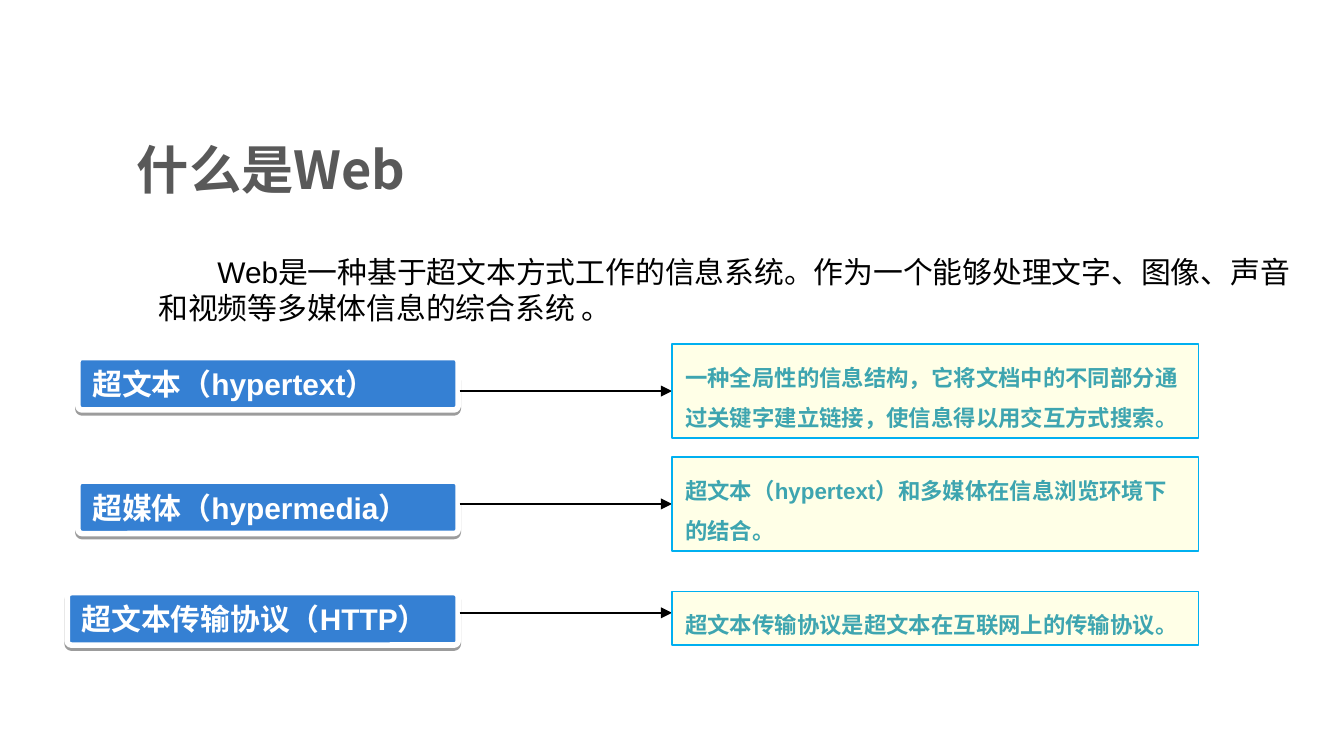
from math import isclose

from lxml.etree import SubElement
from pptx import Presentation
from pptx.dml.color import RGBColor
from pptx.enum.shapes import MSO_CONNECTOR as Connector, MSO_SHAPE as Shape
from pptx.enum.text import MSO_ANCHOR as Anchor, MSO_AUTO_SIZE as AutoSize, PP_ALIGN as Align
from pptx.oxml.ns import qn
from pptx.util import Inches, Pt

LATIN, CJK = "Arial", "Noto Sans CJK SC"
TERM_RIGHT, ARROW_START = 3.41, 3.42
NOTE_LEFT, NOTE_WIDTH = 5, 3.92

# term, its left and top, arrow height, explanation, its top and height
ROWS = [
    ("超文本（hypertext）", 0.58, 2.66, 2.91,
     "一种全局性的信息结构，它将文档中的不同部分通过关键字建立链接，使信息得以用交互方式搜索。",
     2.56, 0.7),
    ("超媒体（hypermedia）", 0.58, 3.58, 3.75,
     "超文本（hypertext）和多媒体在信息浏览环境下的结合。", 3.4, 0.7),
    ("超文本传输协议（HTTP）", 0.5, 4.41, 4.56,
     "超文本传输协议是超文本在互联网上的传输协议。", 4.4, 0.4),
]


def color(hex_code):
    return RGBColor.from_string(hex_code)


def write(shape, text, size, hex_code, font=LATIN, bold=False, anchor=Anchor.TOP,
          autosize=AutoSize.SHAPE_TO_FIT_TEXT, spacing=None):
    frame = shape.text_frame
    frame_format = {"word_wrap": True, "auto_size": autosize, "vertical_anchor": anchor}
    for name, value in frame_format.items():
        setattr(frame, name, value)
    paragraph = frame.paragraphs[0]
    paragraph.alignment = Align.LEFT
    paragraph.line_spacing = spacing
    run = paragraph.add_run()
    run.text = text
    for name, value in {"size": Pt(size), "bold": bold, "name": font}.items():
        setattr(run.font, name, value)
    run.font.color.rgb = color(hex_code)
    SubElement(run.font._element, qn("a:ea"), typeface=CJK)
    return paragraph


def add_text(slide, left, top, width, height, text, size, hex_code, **text_format):
    box = slide.shapes.add_textbox(*map(Inches, (left, top, width, height)))
    return write(box, text, size, hex_code, **text_format)


def add_panel(slide, kind, left, top, width, height, fill, line, line_width):
    panel = slide.shapes.add_shape(kind, *map(Inches, (left, top, width, height)))
    panel.shadow.inherit = False
    panel.fill.solid()
    panel.fill.fore_color.rgb = color(fill)
    panel.line.color.rgb = color(line)
    panel.line.width = Pt(line_width)
    return panel


def add_term(slide, text, left, top):
    term = add_panel(slide, Shape.ROUNDED_RECTANGLE, left, top, TERM_RIGHT - left, 0.39,
                     "3580D3", "FFFFFF", 3)
    term.adjustments[0] = 0.08
    effects = term._element.spPr.find(qn("a:effectLst"))
    shadow = SubElement(effects, qn("a:outerShdw"), blurRad="0", dist=str(Pt(1.6)),
                        dir="5400000", rotWithShape="0")
    shade = SubElement(shadow, qn("a:srgbClr"), val="000000")
    SubElement(shade, qn("a:alpha"), val="38000")
    write(term, text, 16, "FFFFFF", bold=True, anchor=Anchor.MIDDLE)


def add_note(slide, text, top, height):
    note = add_panel(slide, Shape.RECTANGLE, NOTE_LEFT, top, NOTE_WIDTH, height,
                     "FFFFE7", "00B0F0", 0.75)
    write(note, text, 12, "3EA5B0", bold=True, spacing=1.5)
    return note


def add_arrow(slide, y):
    arrow = slide.shapes.add_connector(
        Connector.STRAIGHT, *map(Inches, (ARROW_START, y, NOTE_LEFT, y)))
    arrow.line.color.rgb = color("000000")
    arrow.line.width = Pt(0.75)
    SubElement(arrow.line._get_or_add_ln(), qn("a:tailEnd"), type="triangle")
    SubElement(arrow._element.spPr, qn("a:effectLst"))
    return arrow


def main():
    deck = Presentation()
    deck.slide_width = Inches(10)
    deck.slide_height = deck.slide_width * 9 // 16
    slide = deck.slides.add_slide(deck.slide_layouts[6])

    add_text(slide, 0.92, 0.94, 7.17, 0.63, "什么是Web", 28, "595959", font=CJK,
             bold=True, anchor=Anchor.MIDDLE, autosize=AutoSize.NONE)
    intro = add_text(
        slide, 1.08, 1.84, 8.64, 0.64,
        "Web是一种基于超文本方式工作的信息系统。作为一个能够处理文字、图像、声音和视频等多媒体信息的综合系统 。",
        16, "000000")
    intro._p.get_or_add_pPr().set("indent", str(Inches(0.44)))

    for term, term_left, term_top, arrow_y, explanation, note_top, note_height in ROWS:
        add_term(slide, term, term_left, term_top)
        arrow = add_arrow(slide, arrow_y)
        note = add_note(slide, explanation, note_top, note_height)
        if isclose(arrow_y, note_top + note_height / 2):
            arrow.end_connect(note, 1)

    deck.save("out.pptx")


if __name__ == "__main__":
    main()
